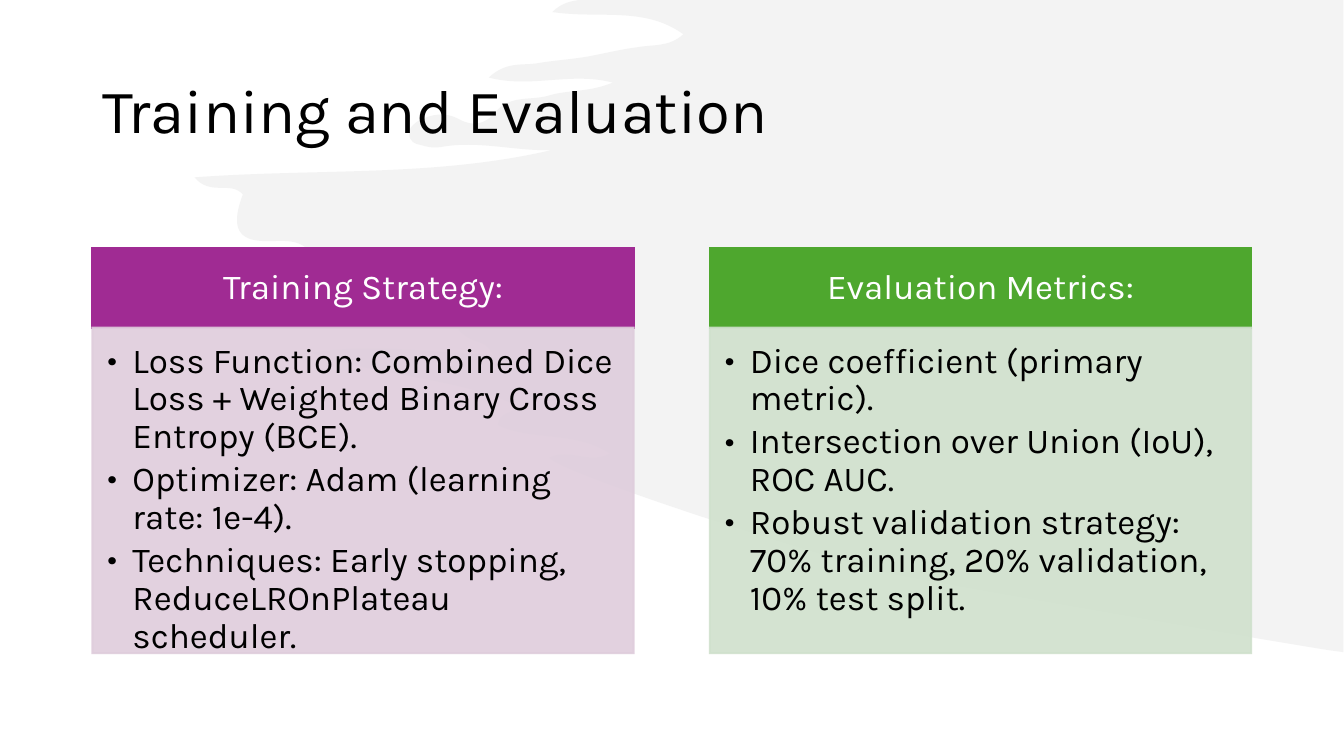
from lxml import etree
from pptx import Presentation
from pptx.dml.color import RGBColor
from pptx.enum.shapes import MSO_SHAPE
from pptx.enum.text import MSO_ANCHOR, PP_ALIGN
from pptx.oxml.ns import qn
from pptx.util import Cm, Pt

RECTANGLE = MSO_SHAPE.RECTANGLE
TOP, MIDDLE = MSO_ANCHOR.TOP, MSO_ANCHOR.MIDDLE
LEFT, CENTER = PP_ALIGN.LEFT, PP_ALIGN.CENTER

FONT = "Karla"
COLORS = {
    "black": "000000", "white": "FFFFFF", "brush": "E8E8E8",
    "purple": "A02B93", "lilac": "DFCDDC",
    "green": "4EA72E", "mint": "D0E1CD",
}
TITLE = "Training and Evaluation"
CARDS = [
    ("Training Strategy:", "purple", "lilac", [
        "Loss Function: Combined Dice Loss + Weighted Binary Cross Entropy (BCE).",
        "Optimizer: Adam (learning rate: 1e-4).",
        "Techniques: Early stopping, ReduceLROnPlateau scheduler.",
    ]),
    ("Evaluation Metrics:", "green", "mint", [
        "Dice coefficient (primary metric).",
        "Intersection over Union (IoU), ROC AUC.",
        "Robust validation strategy: 70% training, 20% validation, 10% test split.",
    ]),
]
BRUSH_START = (5.75, 0)
BRUSH_CURVES = [
    (5.67, 0.01, 5.57, 0.03, 5.48, 0.12), (5.95, 0.19, 6.39, 0.06, 6.78, 0.34),
    (6.64, 0.47, 6.48, 0.44, 6.32, 0.47), (6.16, 0.49, 6, 0.53, 5.84, 0.56),
    (5.67, 0.59, 5.49, 0.6, 5.32, 0.63), (5.18, 0.65, 5.02, 0.61, 4.85, 0.77),
    (5.27, 0.88, 5.66, 0.71, 6.08, 0.82), (5.84, 0.92, 5.63, 0.89, 5.44, 0.95),
    (5.27, 1, 5.06, 0.94, 4.92, 1.11), (4.81, 1.24, 4.69, 1.26, 4.55, 1.18),
    (4.42, 1.11, 4.28, 1.13, 4.15, 1.2), (4.11, 1.23, 4.06, 1.26, 4.06, 1.32),
    (4.06, 1.41, 4.12, 1.43, 4.18, 1.44), (4.24, 1.46, 4.31, 1.47, 4.37, 1.46),
    (4.74, 1.39, 5.1, 1.5, 5.47, 1.49), (4.31, 1.76, 3.14, 1.67, 1.93, 1.76),
    (2.09, 1.95, 2.29, 1.79, 2.41, 1.93), (2.3, 2.22, 2.34, 2.37, 2.58, 2.39),
    (2.8, 2.41, 3.04, 2.31, 3.16, 2.65), (3.2, 2.76, 3.41, 2.73, 3.55, 2.75),
    (3.84, 2.79, 4.14, 2.75, 4.42, 2.88), (4.53, 2.93, 4.6, 2.97, 4.55, 3.11),
    (4.49, 3.25, 4.56, 3.3, 4.66, 3.36), (4.73, 3.4, 4.83, 3.39, 4.89, 3.52),
    (4.28, 3.5, 3.69, 3.4, 3.09, 3.5), (3.75, 3.74, 4.47, 3.73, 5.12, 4.02),
    (5.1, 4.12, 4.95, 4.07, 4.94, 4.22), (5.28, 4.38, 5.69, 4.27, 6.05, 4.5),
    (5.84, 4.61, 5.65, 4.44, 5.45, 4.54), (5.52, 4.69, 8.4, 5.61, 8.92, 5.71),
    (9.78, 5.87, 11.95, 6.25, 13.18, 6.45),
]
BRUSH_END = [(13.33, 6.47), (13.33, 0)]
CM_PER_INCH = 2.54

MARGIN, CARD_WIDTH, CARD_PITCH = 2.33, 13.64, 15.56
HEADER_TOP, HEADER_HEIGHT, BODY_HEIGHT = 6.26, 2, 8.2
HEADER_INSETS = (0.48, 0.28, 0.48, 0.28)
BODY_INSETS = (0.38, 0.38, 0.48, 0.56)
BULLET_INDENT = Cm(0.63)


def rgb(name):
    return RGBColor.from_string(COLORS[name])


def paint(shape, name, percent=100, outlined=True):
    shape.shadow.inherit = False
    fills = [shape.fill]
    if outlined:
        shape.line.width = Pt(1.5)
        fills.append(shape.line.fill)
    else:
        shape.line.fill.background()
    for fill in fills:
        fill.solid()
        fill.fore_color.rgb = rgb(name)
    properties = shape._element.spPr
    if outlined:
        etree.SubElement(properties.find(qn("a:ln")), qn("a:miter"), lim="800000")
    if percent < 100:
        for color in properties.iter(qn("a:srgbClr")):
            etree.SubElement(color, qn("a:alpha"), val=str(percent * 1000))


def write(box, lines, size, color, anchor, align=LEFT, after=0, insets=None, bullets=False):
    frame = box.text_frame
    frame.word_wrap = True
    frame.vertical_anchor = anchor
    if insets:
        (frame.margin_left, frame.margin_top,
         frame.margin_right, frame.margin_bottom) = map(Cm, insets)
    for index, line in enumerate(lines):
        para = frame.add_paragraph() if index else frame.paragraphs[0]
        para.text = line
        para.alignment = align
        para.line_spacing = 0.9
        para.space_after = Pt(after)
        para.font.name = FONT
        para.font.size = Pt(size)
        para.font.color.rgb = rgb(color)
        if bullets:
            properties = para._p.get_or_add_pPr()
            properties.set("marL", str(BULLET_INDENT))
            properties.set("indent", str(-BULLET_INDENT))
            defaults = properties.find(qn("a:defRPr"))
            defaults.addprevious(etree.Element(qn("a:buFont"), typeface=FONT))
            defaults.addprevious(etree.Element(qn("a:buChar"), char="•"))


def to_lengths(points):
    return [(Cm(x * CM_PER_INCH), Cm(y * CM_PER_INCH)) for x, y in points]


def add_brush(page):
    corners = [BRUSH_START] + [curve[4:] for curve in BRUSH_CURVES] + BRUSH_END
    start, *rest = to_lengths(corners)
    builder = page.shapes.build_freeform(*start, scale=1.0)
    builder.add_line_segments(rest, close=True)
    brush = builder.convert_to_shape()
    segments = list(brush._element.iter(qn("a:lnTo")))
    for segment, curve in zip(segments, BRUSH_CURVES):
        segment.tag = qn("a:cubicBezTo")
        controls = to_lengths([curve[:2], curve[2:4]])
        for position, (x, y) in enumerate(controls):
            point = etree.Element(qn("a:pt"), x=str(x - brush.left), y=str(y - brush.top))
            segment.insert(position, point)
    paint(brush, "brush", 50, outlined=False)


def add_panel(page, left, top, height):
    return page.shapes.add_shape(RECTANGLE, Cm(left), Cm(top), Cm(CARD_WIDTH), Cm(height))


def main():
    deck = Presentation()
    deck.slide_width, deck.slide_height = Cm(33.87), Cm(19.05)
    page = deck.slides.add_slide(deck.slide_layouts[6])
    add_brush(page)

    title = page.shapes.add_textbox(Cm(MARGIN), Cm(1.01), Cm(29.21), Cm(3.68))
    write(title, [TITLE], 44, "black", MIDDLE)

    for index, (heading, strong, pale, points) in enumerate(CARDS):
        left = MARGIN + index * CARD_PITCH
        header = add_panel(page, left, HEADER_TOP, HEADER_HEIGHT)
        paint(header, strong)
        write(header, [heading], 25, "white", MIDDLE, CENTER, 8.75, HEADER_INSETS)
        body = add_panel(page, left, HEADER_TOP + HEADER_HEIGHT, BODY_HEIGHT)
        paint(body, pale, 90)
        write(body, points, 25, "black", TOP, LEFT, 3.75, BODY_INSETS, bullets=True)

    deck.save("out.pptx")


if __name__ == "__main__":
    main()
